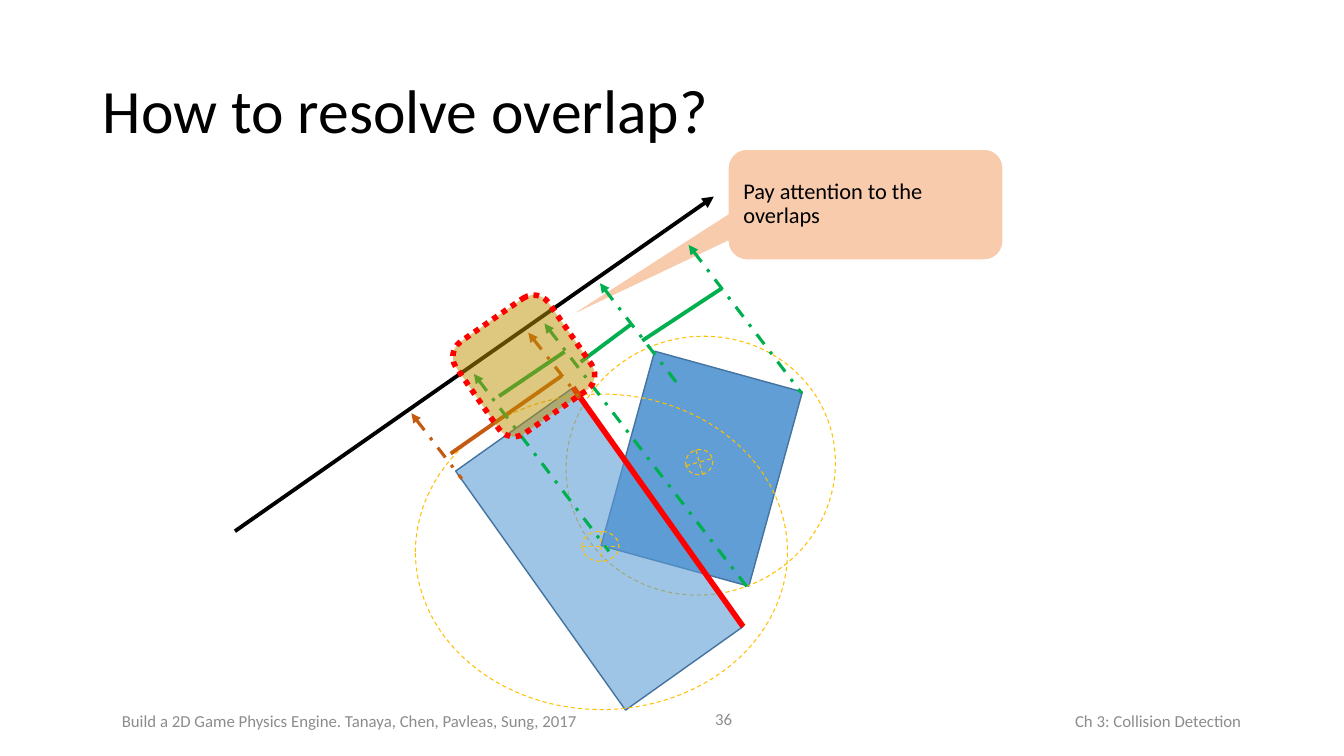
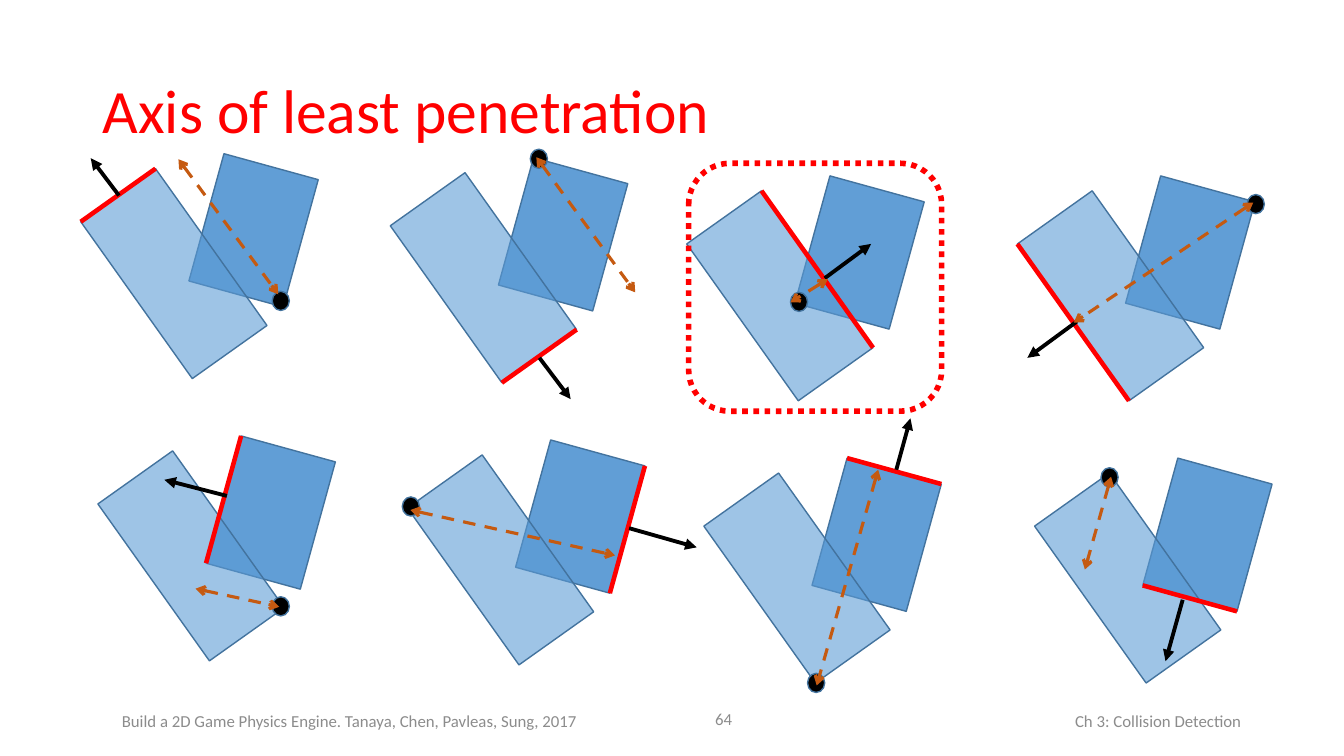
from math import cos, radians, sin

from pptx import Presentation
from pptx.dml.color import RGBColor
from pptx.enum import dml, shapes, text
from pptx.oxml.ns import qn
from pptx.util import Emu, Pt
from lxml import etree

PX = 9144
FONT = "Calibri"
COLORS = {
    "black": "000000", "white": "FFFFFF", "gray": "8C8C8C", "red": "FF0000",
    "blue": "5B9BD5", "navy": "43739E", "gold": "FFC000", "ochre": "BF9000",
    "peach": "F8CBAD", "orange": "C55A11", "green": "00B050",
}
SHAPE, DASH = shapes.MSO_SHAPE, dml.MSO_LINE
LEFT, RIGHT = text.PP_ALIGN.LEFT, text.PP_ALIGN.RIGHT
OUTLINE = ("navy", 1)
BOUND = ("gold", 0.75, DASH.DASH)
HIGHLIGHT = ("red", 4, DASH.ROUND_DOT)

LINES = {
    "axis": (("black", 2.75), None, "triangle"),
    "normal": (("black", 2.75), None, "triangle"),
    "edge": (("red", 3.25), None, None),
    "support edge": (("red", 4), None, None),
    "reach": (("orange", 2.25, DASH.DASH), "arrow", "arrow"),
    "light projection": (("orange", 2.25, DASH.DASH_DOT), "triangle", None),
    "dark projection": (("green", 2.25, DASH.DASH_DOT), "triangle", None),
    "light extent": (("orange", 2.75), None, None),
    "dark extent": (("green", 2.75), None, None),
}

FOOTERS = [
    ((760, 695, 481, 40), "Ch 3: Collision Detection", RIGHT),
    ((111, 695, 505, 40), "Build a 2D Game Physics Engine. Tanaya, Chen, Pavleas, Sung, 2017", LEFT),
]
NUMBER_BOX = (617, 693, 119, 40)
TITLE_BOX = (92, 40, 1150, 145)

TURN = {"dark": 15.4, "light": 324.6}
ALPHA = {"dark": 96, "light": 59}
SIDES = ["top", "right", "bottom", "left"]

OVERLAP_BODIES = [
    ("dark", (620, 365, 152, 200), (561, 334, 268, 256), (680, 446, 27, 25), 344.4),
    ("light", (523, 399, 143, 291), (412, 391, 369, 313), (577, 527, 37, 30), 0),
]
OVERLAP_LINES = [
    ("light projection", (408, 410, 458, 475)),
    ("light extent", (557, 373, 447, 450)),
    ("dark projection", (595, 281, 676, 386)),
    ("dark extent", (637, 338, 716, 286)),
    ("axis", (233, 527, 708, 195)),
    ("light projection", (524, 330, 575, 395)),
    ("dark projection", (683, 243, 795, 390)),
    ("dark projection", (470, 371, 604, 547)),
    ("dark projection", (540, 321, 743, 585)),
    ("dark extent", (576, 359, 627, 321)),
    ("dark extent", (495, 393, 560, 349)),
]

DARK_SIZE, LIGHT_SIZE = (97, 131), (91, 191)
LIGHT_OFFSET = (-76, 13)
DOT_SIZE = (17, 19)
CASES = [
    {"at": (203, 163), "edge": ("light", "top"), "dot": (270, 289),
     "normal": (118, 194, 90, 157), "reach": (177, 158, 276, 292)},
    {"at": (510, 167), "edge": ("light", "bottom"), "dot": (526, 148),
     "normal": (535, 355, 566, 396), "reach": (532, 156, 630, 290)},
    {"at": (804, 185), "edge": ("light", "right"), "dot": (784, 290),
     "normal": (818, 276, 864, 242), "reach": (821, 277, 784, 300)},
    {"at": (1132, 185), "edge": ("light", "left"), "dot": (1237, 193),
     "normal": (1068, 319, 1019, 355), "reach": (1243, 201, 1065, 320)},
    {"at": (220, 443), "edge": ("dark", "left"), "dot": (270, 592),
     "normal": (225, 492, 163, 476), "reach": (194, 584, 277, 602)},
    {"at": (527, 447), "edge": ("dark", "right"), "dot": (399, 493),
     "normal": (624, 524, 691, 543), "reach": (407, 506, 610, 551)},
    {"at": (821, 465), "edge": ("dark", "top"), "dot": (801, 668),
     "normal": (889, 466, 903, 415), "reach": (871, 466, 810, 680)},
    {"at": (1149, 465), "edge": ("dark", "bottom"), "dot": (1092, 464),
     "normal": (1173, 595, 1156, 656), "reach": (1102, 473, 1076, 565)},
]


def emu(lengths):
    return [Emu(round(length * PX)) for length in lengths]


def color(name):
    return RGBColor.from_string(COLORS[name])


def style_line(line, name, width, dash=None):
    line.color.rgb = color(name)
    line.width = Pt(width)
    if dash:
        line.dash_style = dash


def add_shape(parent, kind, box, fill=None, line=OUTLINE, alpha=100, turn=0):
    shape = parent.add_shape(kind, *emu(box))
    shape.shadow.inherit = False
    shape.rotation = turn
    if fill:
        shape.fill.solid()
        shape.fill.fore_color.rgb = color(fill)
        if alpha < 100:
            tint = shape.element.spPr.find(qn("a:solidFill"))[0]
            etree.SubElement(tint, qn("a:alpha")).set("val", str(alpha * 1000))
    else:
        shape.fill.background()
    style_line(shape.line, *line)
    return shape


def add_line(slide, kind, points):
    line, head, tail = LINES[kind]
    connector = slide.shapes.add_connector(shapes.MSO_CONNECTOR.STRAIGHT, *emu(points))
    style_line(connector.line, *line)
    properties = connector.element.spPr
    outline = properties.find(qn("a:ln"))
    for tag, arrow in (("a:headEnd", head), ("a:tailEnd", tail)):
        if arrow:
            etree.SubElement(outline, qn(tag)).set("type", arrow)
    etree.SubElement(properties, qn("a:effectLst"))


def write(shape, words, size, name, align=LEFT, spacing=1.0):
    frame = shape.text_frame
    frame.word_wrap = True
    frame.vertical_anchor = text.MSO_ANCHOR.MIDDLE
    frame.text = words
    paragraph = frame.paragraphs[0]
    paragraph.alignment = align
    paragraph.line_spacing = spacing
    font = paragraph.runs[0].font
    font.name, font.size, font.color.rgb = FONT, Pt(size), color(name)


def add_slide(presentation, title, title_color, number):
    slide = presentation.slides.add_slide(presentation.slide_layouts[6])
    for box, words, align in FOOTERS + [(NUMBER_BOX, number, RIGHT)]:
        write(slide.shapes.add_textbox(*emu(box)), words, 12, "gray", align)
    write(slide.shapes.add_textbox(*emu(TITLE_BOX)), title, 44, title_color, spacing=0.9)
    return slide


def add_body(parent, body, box):
    add_shape(parent, SHAPE.RECTANGLE, box, "blue", alpha=ALPHA[body], turn=TURN[body])


def edge_points(body, box, side):
    left, top, width, height = box
    angle = radians(TURN[body])
    corners = [(-1, -1), (1, -1), (1, 1), (-1, 1)]
    start = SIDES.index(side)
    points = []
    for across, down in (corners[start], corners[(start + 1) % 4]):
        x, y = across * width / 2, down * height / 2
        points += [left + width / 2 + x * cos(angle) - y * sin(angle),
                   top + height / 2 + x * sin(angle) + y * cos(angle)]
    return points


def build_overlap(presentation):
    slide = add_slide(presentation, "How to resolve overlap?", "black", "36")
    callout = add_shape(slide.shapes, SHAPE.ROUNDED_RECTANGULAR_CALLOUT,
                        (722, 148, 273, 110), "peach", ("white", 1))
    for index, value in enumerate((-1.1, 1.04, 0.17)):
        callout.adjustments[index] = value
    write(callout, "Pay attention to the overlaps", 16, "black", spacing=0.9)
    for body, box, bound, center, turn in OVERLAP_BODIES:
        group = slide.shapes.add_group_shape().shapes
        add_body(group, body, box)
        add_shape(group, SHAPE.OVAL, bound, line=BOUND, turn=turn)
        add_shape(group, SHAPE.FLOWCHART_OR, center, line=BOUND, turn=turn)
    body, box = OVERLAP_BODIES[1][:2]
    add_line(slide, "support edge", edge_points(body, box, "right"))
    for kind, points in OVERLAP_LINES:
        add_line(slide, kind, points)
    add_shape(slide.shapes, SHAPE.ROUNDED_RECTANGLE, (464, 307, 111, 112),
              "ochre", HIGHLIGHT, alpha=50, turn=55.2)


def build_penetration(presentation):
    slide = add_slide(presentation, "Axis of least penetration", "red", "64")
    for case in CASES:
        left, top = case["at"]
        boxes = {
            "dark": (left, top, *DARK_SIZE),
            "light": (left + LIGHT_OFFSET[0], top + LIGHT_OFFSET[1], *LIGHT_SIZE),
        }
        group = slide.shapes.add_group_shape().shapes
        for body, box in boxes.items():
            add_body(group, body, box)
        body, side = case["edge"]
        add_line(slide, "edge", edge_points(body, boxes[body], side))
        add_shape(slide.shapes, SHAPE.OVAL, (*case["dot"], *DOT_SIZE), "black")
        for kind in ("normal", "reach"):
            add_line(slide, kind, case[kind])
    add_shape(slide.shapes, SHAPE.ROUNDED_RECTANGLE, (683, 162, 251, 246), line=HIGHLIGHT)


def main():
    presentation = Presentation()
    presentation.slide_width, presentation.slide_height = emu((1333, 750))
    build_overlap(presentation)
    build_penetration(presentation)
    presentation.save("out.pptx")


if __name__ == "__main__":
    main()
